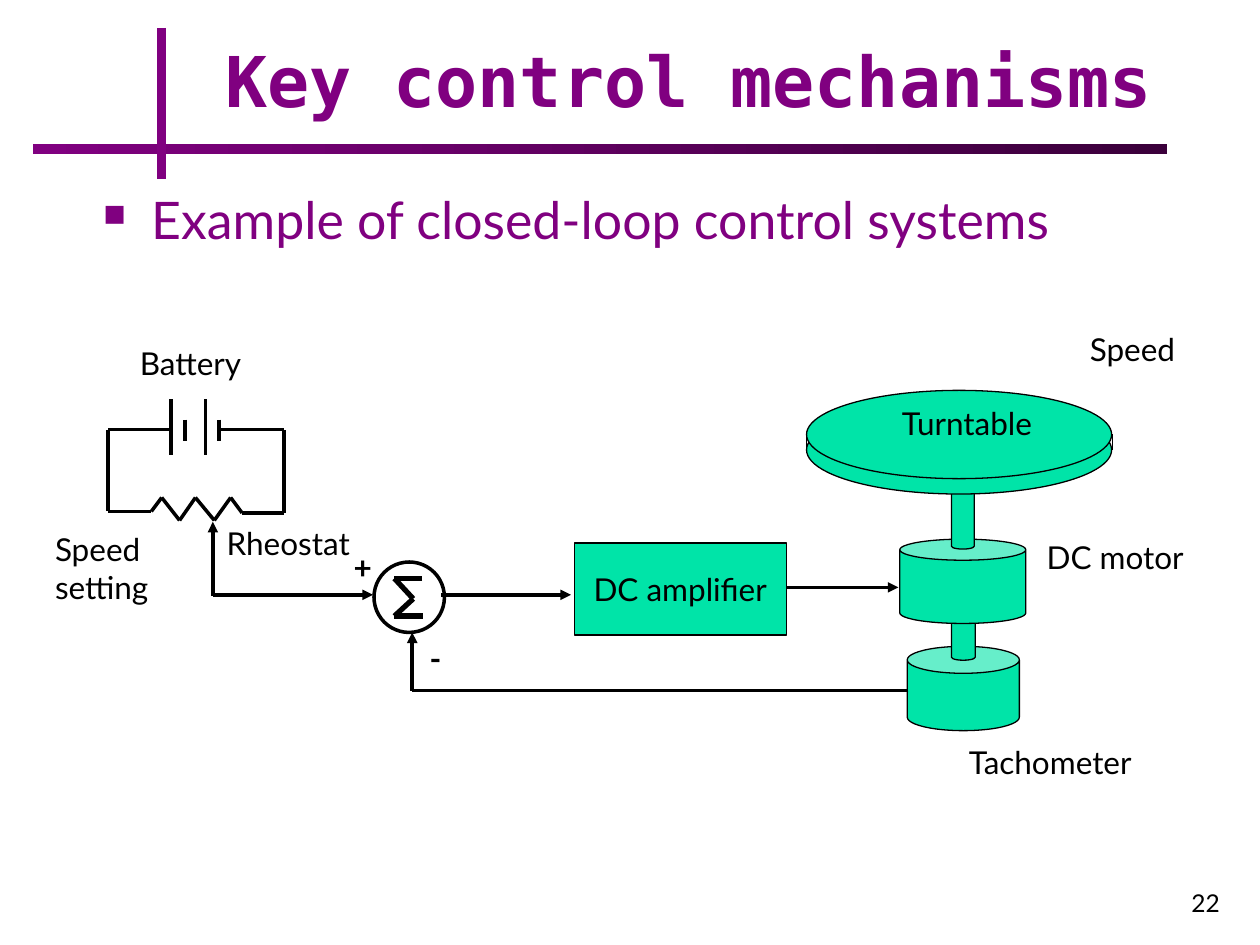
from itertools import pairwise

from lxml import etree
from pptx import Presentation
from pptx.dml.color import RGBColor
from pptx.enum.shapes import MSO_CONNECTOR, MSO_SHAPE
from pptx.enum.text import MSO_ANCHOR, PP_ALIGN
from pptx.oxml.ns import qn
from pptx.util import Cm, Pt

PURPLE = RGBColor(0x80, 0x00, 0x80)
DARK_PURPLE = RGBColor(0x3B, 0x00, 0x3B)
GREEN = RGBColor(0x00, 0xE4, 0xA8)
BLACK = RGBColor(0x00, 0x00, 0x00)

RECTANGLE, ELLIPSE, CAN = MSO_SHAPE.RECTANGLE, MSO_SHAPE.OVAL, MSO_SHAPE.CAN
STRAIGHT = MSO_CONNECTOR.STRAIGHT
LEFT, CENTER, RIGHT = PP_ALIGN.LEFT, PP_ALIGN.CENTER, PP_ALIGN.RIGHT
TOP, MIDDLE, BOTTOM = MSO_ANCHOR.TOP, MSO_ANCHOR.MIDDLE, MSO_ANCHOR.BOTTOM


class Diagram:
    """Holds the text style and the current slide; lengths are in centimetres."""

    text_format = {"name": "Lato", "size": Pt(18), "bold": False}

    def __init__(self, page):
        self.page = page

    def fill_text(self, box, text, color=BLACK, align=LEFT, anchor=TOP, wrap=False, **changes):
        frame = box.text_frame
        frame.word_wrap = wrap
        frame.vertical_anchor = anchor
        frame.text = text
        for para in frame.paragraphs:
            para.alignment = align
            for span in para.runs:
                for name, value in {**self.text_format, **changes}.items():
                    setattr(span.font, name, value)
                span.font.color.rgb = color

    def label(self, text, left, top, width, height=1.02, **style):
        box = self.page.shapes.add_textbox(Cm(left), Cm(top), Cm(width), Cm(height))
        self.fill_text(box, text, **style)
        return box

    def bullet(self, text, left, top, width, height, **style):
        box = self.label(text, left, top, width, height, wrap=True, **style)
        para = box.text_frame.paragraphs[0]
        para.space_before = Pt(8)
        props = para._p.get_or_add_pPr()
        props.set("marL", str(Cm(0.97)))
        props.set("indent", str(-Cm(0.97)))
        color = etree.SubElement(props, qn("a:buClr"))
        etree.SubElement(color, qn("a:srgbClr"), val=str(PURPLE))
        etree.SubElement(props, qn("a:buSzPct"), val="60000")
        etree.SubElement(props, qn("a:buChar"), char="■")

    def shape(self, kind, left, top, width, height, fill=GREEN, weight=0.75, bulge=None):
        shape = self.page.shapes.add_shape(kind, Cm(left), Cm(top), Cm(width), Cm(height))
        shape.shadow.inherit = False
        if fill is None:
            shape.fill.background()
        else:
            shape.fill.solid()
            shape.fill.fore_color.rgb = fill
        shape.line.color.rgb = BLACK
        shape.line.width = Pt(weight)
        if bulge is not None:
            shape.adjustments[0] = bulge
        return shape

    def gradient_bar(self, left, top, width, height):
        bar = self.shape(RECTANGLE, left, top, width, height)
        bar.line.fill.background()
        bar.fill.gradient()
        bar.fill.gradient_angle = 0
        for stop, color in zip(bar.fill.gradient_stops, (PURPLE, DARK_PURPLE)):
            stop.color.rgb = color

    def wire(self, *points, color=BLACK, weight=2, arrow=False):
        """Join the points by straight lines, with an optional arrowhead at the last."""
        for start, end in pairwise(points):
            line = self.page.shapes.add_connector(STRAIGHT, *map(Cm, start + end))
            line.line.color.rgb = color
            line.line.width = Pt(weight)
            props = line.element.spPr
            if arrow and end == points[-1]:
                etree.SubElement(props.find(qn("a:ln")), qn("a:tailEnd"), type="triangle")
            etree.SubElement(props, qn("a:effectLst"))


def main():
    deck = Presentation()
    deck.slide_width, deck.slide_height = Cm(25.4), Cm(19.05)
    diagram = Diagram(deck.slides.add_slide(deck.slide_layouts[6]))

    # Heading
    diagram.gradient_bar(0.67, 2.9, 22.86, 0.2)
    diagram.wire((3.25, 0.56), (3.25, 3.61), color=PURPLE, weight=5)
    diagram.label("Key control mechanisms", 4.29, 0.64, 20.35, 1.93, color=PURPLE, wrap=True,
                  anchor=BOTTOM, name="DejaVu Sans Mono", size=Pt(40), bold=True)
    diagram.bullet("Example of closed-loop control systems", 1.83, 3.66, 21.59, 2.03,
                   color=PURPLE, size=Pt(29.6))

    # Tachometer, motor and the shafts above them
    for left, top, width, height, bulge in (
        (18.29, 13.03, 2.26, 1.7, 0.32),
        (19.18, 11.94, 0.48, 1.37, 0.25),
        (18.14, 10.87, 2.54, 1.7, 0.25),
        (19.18, 8.66, 0.46, 2.41, 0.25),
    ):
        diagram.shape(CAN, left, top, width, height, bulge=bulge)

    # Turntable
    for top in (8.18, 7.87):
        diagram.shape(ELLIPSE, 16.26, top, 6.15, 1.78)
    for edge in (16.26, 22.42):
        diagram.wire((edge, 8.74), (edge, 9.07), weight=0.75)

    # Battery plates
    for long_plate, short_plate in ((3.45, 3.73), (4.14, 4.42)):
        diagram.wire((long_plate, 8.05), (long_plate, 9.17))
        diagram.wire((short_plate, 8.46), (short_plate, 8.89))

    # Battery circuit through the rheostat
    zigzag = [(3.26, 10.03), (3.62, 10.49), (3.94, 10.03), (4.32, 10.49), (4.65, 10.03)]
    diagram.wire((3.4, 8.66), (2.18, 8.66), (2.18, 10.31), (3.05, 10.31), *zigzag,
                 (4.88, 10.34), (5.72, 10.34), (5.72, 8.66), (4.45, 8.66))

    # Amplifier
    amplifier = diagram.shape(RECTANGLE, 11.58, 10.95, 4.27, 1.85)
    diagram.fill_text(amplifier, "DC amplifier", align=CENTER, anchor=MIDDLE)

    # Signal path and feedback
    for route in (
        [(4.29, 12.01), (4.29, 10.52)],
        [(4.29, 11.99), (7.52, 11.99)],
        [(8.89, 11.99), (11.51, 11.99)],
        [(15.85, 11.84), (18.11, 11.84)],
        [(18.31, 13.92), (8.31, 13.92), (8.31, 12.75)],
    ):
        diagram.wire(*route, arrow=True)

    # Summing junction
    diagram.shape(ELLIPSE, 7.54, 11.33, 1.42, 1.42, fill=None, weight=2)
    diagram.wire((8.51, 11.66), (7.95, 11.66), (8.33, 12.07), (7.95, 12.42), (8.53, 12.42),
                 weight=3)

    # Labels
    for text, left, top, width in (
        ("Turntable", 17.93, 8.03, 3.4),
        ("Battery", 2.57, 6.81, 2.67),
        ("Speed\nsetting", 0.86, 10.57, 2.57),
        ("DC motor", 20.85, 10.72, 3.38),
        ("Speed", 21.72, 6.53, 2.34),
        ("Tachometer", 19.28, 14.86, 4.09),
        ("Rheostat", 4.32, 10.44, 3.15),
    ):
        diagram.label(text, left, top, width)
    diagram.label("+", 6.88, 10.92, 0.86, bold=True)
    diagram.label("-", 8.41, 12.75, 0.71, bold=True)

    # Page number
    diagram.label("22", 19.56, 17.35, 5.28, 1.27, align=RIGHT, anchor=BOTTOM, wrap=True,
                  size=Pt(14))

    deck.save("out.pptx")


if __name__ == "__main__":
    main()
